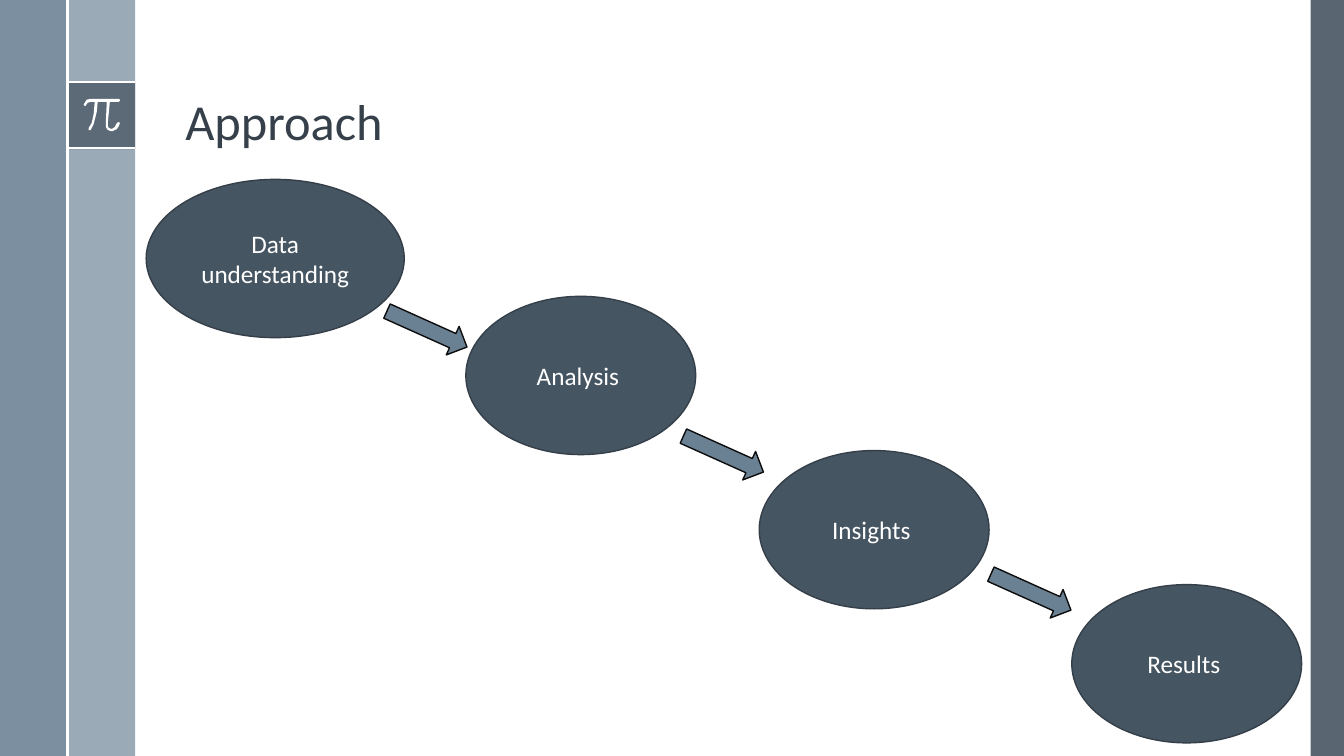
from lxml.etree import SubElement
from pptx import Presentation
from pptx.dml.color import RGBColor
from pptx.enum.shapes import MSO_CONNECTOR, MSO_SHAPE
from pptx.enum.text import MSO_ANCHOR, PP_ALIGN
from pptx.oxml.ns import qn
from pptx.util import Inches, Pt

COLORS = {
    "steel": "6A8093", "slate": "475562", "mist": "9BAAB7", "white": "FFFFFF",
    "title": "35404A", "step": "465562", "step_edge": "343F49", "arrow_edge": "0D0D0D",
}
FONT = "Calibri"
PI_OUTLINE = [
    (1.18, 0.98), (0.90, 0.98), (0.86, 0.99), (0.84, 1.02), (0.83, 1.04), (0.84, 1.05),
    (0.85, 1.05), (0.87, 1.02), (0.90, 1.01), (0.94, 1.01), (0.93, 1.13), (0.91, 1.22),
    (0.88, 1.27), (0.88, 1.29), (0.90, 1.29), (0.93, 1.23), (0.96, 1.11), (0.97, 1.01),
    (1.06, 1.01), (1.05, 1.22), (1.05, 1.26), (1.07, 1.29), (1.10, 1.30), (1.12, 1.30),
    (1.16, 1.28), (1.18, 1.25), (1.19, 1.22), (1.18, 1.21), (1.16, 1.22), (1.14, 1.26),
    (1.11, 1.28), (1.08, 1.27), (1.07, 1.25), (1.07, 1.22), (1.09, 1.01), (1.18, 1.01),
    (1.19, 1.00), (1.19, 0.99),
]
STEPS = [
    ("Data understanding", 1.45, 1.78, 2.56),
    ("Analysis ", 4.62, 2.94, 2.28),
    ("Insights ", 7.53, 4.47, 2.28),
    ("Results ", 10.63, 5.80, 2.28),
]
ARROWS = [(3.80, 3.11), (6.74, 4.35), (9.79, 5.72)]


def rgb(name):
    """Return the named colour."""
    return RGBColor.from_string(COLORS[name])


def paint(shape, fill, edge=None, opacity=100):
    """Set fill, outline and opacity, without a shadow."""
    shape.shadow.inherit = False
    shape.fill.solid()
    shape.fill.fore_color.rgb = rgb(fill)
    if opacity < 100:
        fill_color = shape._element.spPr.find(qn("a:solidFill"))[0]
        SubElement(fill_color, qn("a:alpha")).set("val", str(opacity * 1000))
    if edge:
        shape.line.color.rgb = rgb(edge)
        shape.line.width = Pt(1)
    else:
        shape.line.fill.background()


def add_figure(slide, preset, left, top, width, height, fill, edge=None, opacity=100):
    """Add a painted preset shape."""
    figure = slide.shapes.add_shape(
        preset, Inches(left), Inches(top), Inches(width), Inches(height))
    paint(figure, fill, edge, opacity)
    return figure


def add_rule(slide, x1, y1, x2, y2):
    """Add a white separating line."""
    rule = slide.shapes.add_connector(
        MSO_CONNECTOR.STRAIGHT, Inches(x1), Inches(y1), Inches(x2), Inches(y2))
    rule.line.color.rgb = rgb("white")
    rule.line.width = Pt(1.5)
    SubElement(rule._element.spPr, qn("a:effectLst"))


def write(frame, text, size, color, anchor, align):
    """Write one run of text into a frame."""
    frame.word_wrap = True
    frame.vertical_anchor = anchor
    paragraph = frame.paragraphs[0]
    paragraph.alignment = align
    run = paragraph.add_run()
    run.text = text
    run.font.name = FONT
    run.font.size = Pt(size)
    run.font.color.rgb = rgb(color)
    return paragraph


def add_pi(slide):
    """Add the pi sign as an outline."""
    points = [(Inches(x), Inches(y)) for x, y in PI_OUTLINE]
    builder = slide.shapes.build_freeform(*points[0])
    builder.add_line_segments(points[1:], close=True)
    paint(builder.convert_to_shape(), "white")


def add_frame(slide):
    """Add the side bands with the pi tile."""
    for left, top, width, height, fill, opacity in [
        (13, 0, 0.33, 7.5, "slate", 90),
        (0.67, 0, 0.67, 7.5, "mist", 100),
        (0, 0, 0.67, 7.5, "steel", 88),
        (0.67, 0.81, 0.67, 0.67, "slate", 75),
    ]:
        add_figure(slide, MSO_SHAPE.RECTANGLE, left, top, width, height, fill,
                   opacity=opacity)
    for y in (0.81, 1.47):
        add_rule(slide, 0.67, y, 1.34, y)
    add_pi(slide)
    add_rule(slide, 0.67, 0, 0.67, 7.5)


def add_title(slide, text):
    """Add the slide title."""
    title = slide.shapes.add_textbox(Inches(1.74), Inches(0.19), Inches(10.7), Inches(1.36))
    paragraph = write(title.text_frame, text, 36, "title", MSO_ANCHOR.BOTTOM, PP_ALIGN.LEFT)
    paragraph.line_spacing = 0.9


def add_step(slide, text, left, top, width):
    """Add one labelled step of the approach."""
    step = add_figure(slide, MSO_SHAPE.OVAL, left, top, width, 1.57, "step", "step_edge")
    write(step.text_frame, text, 18, "white", MSO_ANCHOR.MIDDLE, PP_ALIGN.CENTER)


def add_arrow(slide, left, top):
    """Add a slanted arrow to the next step."""
    arrow = add_figure(slide, MSO_SHAPE.RIGHT_ARROW, left, top, 0.87, 0.31,
                       "steel", "arrow_edge")
    arrow.rotation = 24.2


def main():
    """Build and save the slide."""
    deck = Presentation()
    deck.slide_width, deck.slide_height = Inches(13.33), Inches(7.5)
    slide = deck.slides.add_slide(deck.slide_layouts[6])
    add_frame(slide)
    add_title(slide, "Approach")
    for step in STEPS:
        add_step(slide, *step)
    for arrow in ARROWS:
        add_arrow(slide, *arrow)
    deck.save("out.pptx")


if __name__ == "__main__":
    main()
